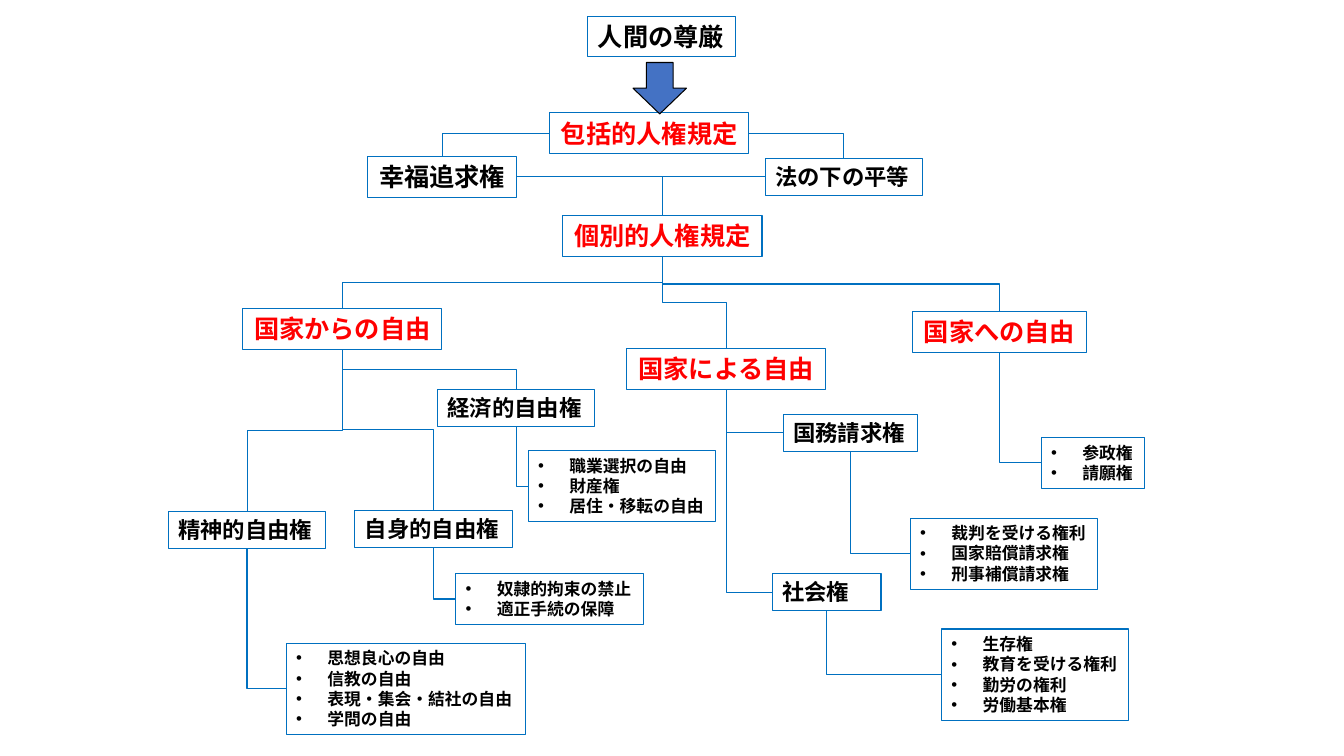
from dataclasses import dataclass

from lxml.etree import SubElement
from pptx import Presentation
from pptx.dml.color import RGBColor
from pptx.enum.shapes import MSO_CONNECTOR as Connector, MSO_SHAPE as Preset
from pptx.enum.text import MSO_ANCHOR as Anchor, MSO_AUTO_SIZE as AutoSize, PP_ALIGN as Align
from pptx.oxml.ns import qn
from pptx.util import Emu, Inches, Pt

COLORS = {"outline": "0070C0", "text": "000000", "heading": "FF0000", "arrow": "4472C4"}
FONT = "Noto Sans CJK JP"
WIDTH, HEIGHT = Inches(13.33), Inches(7.5)
TOP, LEFT, BOTTOM, RIGHT = range(4)


@dataclass(frozen=True)
class Style:
    size: int
    color: str = "text"
    align: Align = Align.LEFT
    bulleted: bool = False
    wrap: bool = False
    fit: AutoSize = AutoSize.SHAPE_TO_FIT_TEXT

    def height(self, lines: int) -> float:
        return 1.35 + 0.2244 * self.size * lines


ROOT = Style(18, fit=AutoSize.NONE)
CENTERED = Style(18, align=Align.CENTER)
HEADING = Style(18, "heading", Align.CENTER)
RIGHTS = Style(16)
WRAPPED = Style(16, wrap=True)
ITEMS = Style(12, bulleted=True)


@dataclass(frozen=True)
class Node:
    name: str
    left: float
    top: float
    width: float
    style: Style
    lines: tuple[str, ...]


@dataclass(frozen=True)
class Link:
    begin: str
    begin_site: int
    end: str
    end_site: int


TITLE = Node("dignity", 43.73, 2.13, 11.03, ROOT, ("人間の尊厳",))
NODES = [
    Node("general", 40.88, 14.93, 14.85, HEADING, ("包括的人権規定",)),
    Node("happiness", 27.38, 20.7, 11.03, CENTERED, ("幸福追求権",)),
    Node("equality", 56.93, 20.93, 11.7, RIGHTS, ("法の下の平等",)),
    Node("specific", 41.85, 28.53, 14.85, HEADING, ("個別的人権規定",)),
    Node("from_state", 18.08, 40.8, 14.78, HEADING, ("国家からの自由",)),
    Node("by_state", 46.65, 46.13, 14.78, HEADING, ("国家による自由",)),
    Node("to_state", 67.88, 41.2, 12.98, HEADING, ("国家への自由",)),
    Node("economic", 32.55, 51.47, 11.7, RIGHTS, ("経済的自由権",)),
    Node("mental", 12.53, 67.6, 11.7, RIGHTS, ("精神的自由権",)),
    Node("bodily", 26.4, 67.47, 11.7, RIGHTS, ("自身的自由権",)),
    Node("claims", 58.28, 54.8, 9.98, RIGHTS, ("国務請求権",)),
    Node("social", 57.45, 75.87, 8.1, WRAPPED, ("社会権",)),
    Node("economic_items", 39.3, 59.6, 13.95, ITEMS,
         ("職業選択の自由", "財産権", "居住・移転の自由")),
    Node("bodily_items", 33.9, 75.87, 13.95, ITEMS, ("奴隷的拘束の禁止", "適正手続の保障")),
    Node("mental_items", 21.3, 85.07, 17.78, ITEMS,
         ("思想良心の自由", "信教の自由", "表現・集会・結社の自由", "学問の自由")),
    Node("claims_items", 67.73, 68.53, 13.95, ITEMS,
         ("裁判を受ける権利", "国家賠償請求権", "刑事補償請求権")),
    Node("social_items", 70.05, 83.2, 13.95, ITEMS,
         ("生存権", "教育を受ける権利", "勤労の権利", "労働基本権")),
    Node("to_state_items", 77.48, 57.87, 7.65, ITEMS, ("参政権", "請願権")),
]

CORNERS = [
    Link("general", LEFT, "happiness", TOP),
    Link("general", RIGHT, "equality", TOP),
    Link("happiness", RIGHT, "specific", TOP),
    Link("equality", LEFT, "specific", TOP),
] + [
    Link(child, LEFT, parent, BOTTOM)
    for child, parent in [
        ("claims", "by_state"), ("social", "by_state"), ("to_state_items", "to_state"),
        ("economic_items", "economic"), ("bodily_items", "bodily"),
        ("mental_items", "mental"), ("claims_items", "claims"), ("social_items", "social"),
    ]
]
BRANCHES = [
    Link(parent, BOTTOM, child, TOP)
    for parent, children in {
        "specific": ("from_state", "by_state", "to_state"),
        "from_state": ("economic", "mental", "bodily"),
    }.items()
    for child in children
]


def across(percent: float) -> Emu:
    return Emu(round(WIDTH * percent / 100))


def down(percent: float) -> Emu:
    return Emu(round(HEIGHT * percent / 100))


def rgb(name: str) -> RGBColor:
    return RGBColor.from_string(COLORS[name])


def set_line(line, color: str = "outline") -> None:
    line.color.rgb = rgb(color)
    line.width = Pt(0.75)


def format_para(para, style: Style) -> None:
    para.alignment = style.align
    para.line_spacing = 1.0
    para.space_before = Pt(0)
    font = para.font
    font.size, font.bold, font.name = Pt(style.size), True, FONT
    font.color.rgb = rgb(style.color)
    properties = para._p.get_or_add_pPr()
    defaults = properties.find(qn("a:defRPr"))
    SubElement(defaults, qn("a:ea")).set("typeface", FONT)
    if style.bulleted:
        properties.set("marL", str(Inches(0.31)))
        properties.set("indent", str(-Inches(0.31)))
        bullet_font = SubElement(properties, qn("a:buFont"))
        bullet_font.set("typeface", "Arial")
        bullet = SubElement(properties, qn("a:buChar"))
        bullet.set("char", "•")
        defaults.addprevious(bullet_font)
        defaults.addprevious(bullet)


def fill_box(box, node: Node) -> None:
    box.left, box.top = across(node.left), down(node.top)
    box.width, box.height = across(node.width), down(node.style.height(len(node.lines)))
    set_line(box.line)
    frame = box.text_frame
    frame.text = "\n".join(node.lines)
    frame.word_wrap = node.style.wrap
    frame.auto_size = node.style.fit
    frame.vertical_anchor = Anchor.TOP
    for para in frame.paragraphs:
        format_para(para, node.style)


def add_link(page, boxes: dict, link: Link):
    connector = page.shapes.add_connector(Connector.ELBOW, 0, 0, 0, 0)
    connector.begin_connect(boxes[link.begin], link.begin_site)
    connector.end_connect(boxes[link.end], link.end_site)
    set_line(connector.line)
    SubElement(connector._element.spPr, qn("a:effectLst"))
    return connector


def add_corner(page, boxes: dict, link: Link) -> None:
    connector = add_link(page, boxes, link)
    connector._element.spPr.find(qn("a:prstGeom")).set("prst", "bentConnector2")


def add_branch(page, boxes: dict, link: Link) -> None:
    connector = add_link(page, boxes, link)
    rightward = connector.end_x > connector.begin_x
    middle_x = connector.left + connector.width // 2
    middle_y = connector.top + connector.height // 2
    frame = connector._element.spPr.find(qn("a:xfrm"))
    frame.set("rot", "5400000")
    frame.set("flipH", "0")
    frame.set("flipV", "1" if rightward else "0")
    connector.width, connector.height = connector.height, connector.width
    connector.left = middle_x - connector.width // 2
    connector.top = middle_y - connector.height // 2


def add_arrow(page) -> None:
    arrow = page.shapes.add_shape(
        Preset.DOWN_ARROW, across(47.1), down(8.27), across(3.98), down(6.8))
    arrow.shadow.inherit = False
    arrow.fill.solid()
    arrow.fill.fore_color.rgb = rgb("arrow")
    set_line(arrow.line, "text")


def main() -> None:
    deck = Presentation()
    deck.slide_width, deck.slide_height = WIDTH, HEIGHT
    page = deck.slides.add_slide(deck.slide_layouts.get_by_name("Title Only"))
    fill_box(page.shapes.title, TITLE)
    boxes = {}
    for node in NODES:
        boxes[node.name] = page.shapes.add_textbox(0, 0, 0, 0)
        fill_box(boxes[node.name], node)
    for link in CORNERS:
        add_corner(page, boxes, link)
    for link in BRANCHES:
        add_branch(page, boxes, link)
    add_arrow(page)
    deck.save("out.pptx")


if __name__ == "__main__":
    main()
